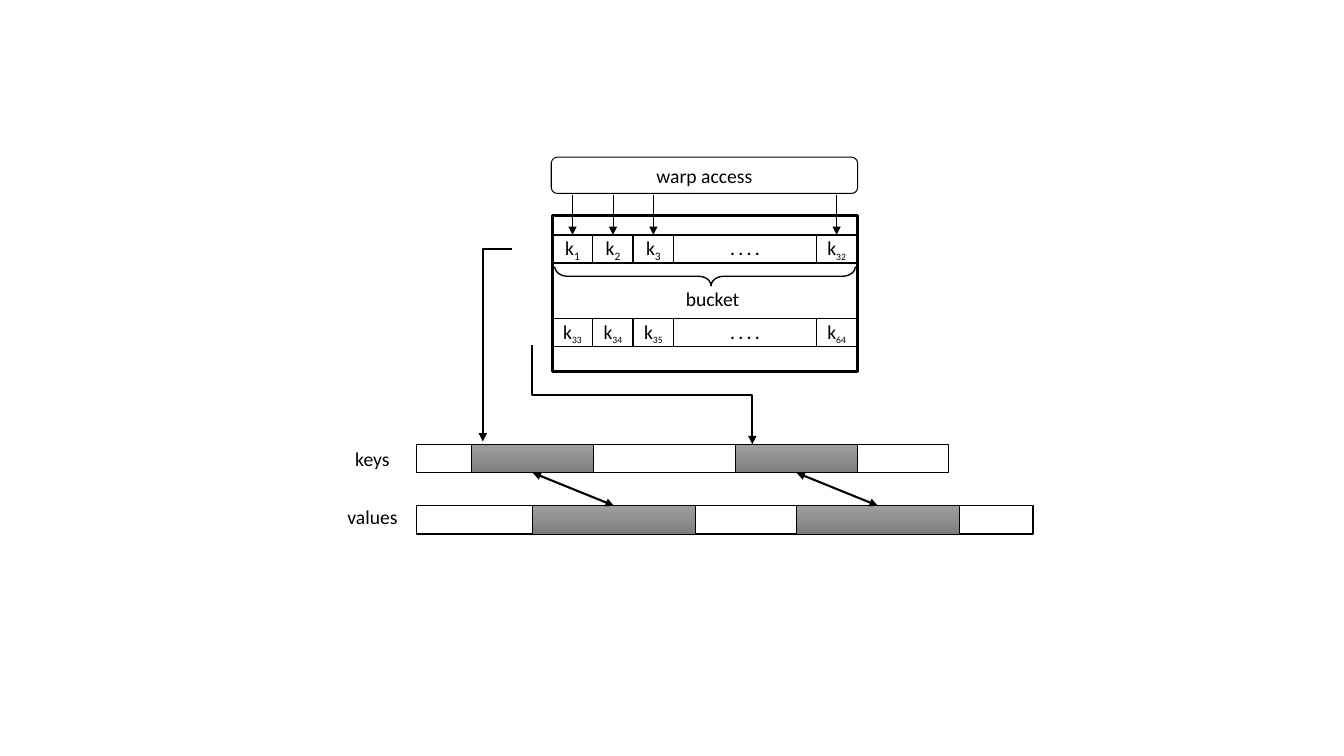
from copy import deepcopy

from lxml import etree
from pptx import Presentation
from pptx.dml import color
from pptx.enum import shapes, text
from pptx.oxml import ns
from pptx.util import Pt

FONT = "Calibri"
BLACK = "000000"
WHITE = "FFFFFF"
GREYS = ["9D9D9D", "909090", "7C7C7C"]
RECT = shapes.MSO_SHAPE.RECTANGLE
ELBOW = shapes.MSO_CONNECTOR.ELBOW
STRAIGHT = shapes.MSO_CONNECTOR.STRAIGHT

CELL_LEFT, CELL_W, ROW_H = 394.5, 28.9, 20.2
LAST_LEFT = 583.2
KEYS_TOP, VALUES_TOP = 317.5, 361.2
KEY_W, VALUE_W = 87, 116


def rgb(value):
    return color.RGBColor.from_string(value)


def add_box(slide, left, top, width, height, line=1, kind=RECT, fill=None):
    sp = slide.shapes.add_shape(kind, Pt(left), Pt(top), Pt(width), Pt(height))
    sp.shadow.inherit = False
    if fill:
        sp.fill.solid()
        sp.fill.fore_color.rgb = rgb(fill)
    else:
        sp.fill.background()
    sp.line.color.rgb = rgb(BLACK)
    sp.line.width = Pt(line)
    return sp


def write(sp, words, sub="", size=14, sub_size=14, bold=None):
    tf = sp.text_frame
    tf.margin_left = tf.margin_right = tf.margin_top = tf.margin_bottom = 0
    tf.word_wrap = False
    tf.vertical_anchor = text.MSO_ANCHOR.MIDDLE
    p = tf.paragraphs[0]
    p.alignment = text.PP_ALIGN.CENTER
    p.font.name = FONT
    p.font.color.rgb = rgb(BLACK)
    p.font.bold = bold
    r = p.add_run()
    r.text = words
    r.font.size = Pt(size)
    if sub:
        r = p.add_run()
        r.text = sub
        r.font.size = Pt(sub_size)
        r.font._element.set("baseline", "-25000")


def add_label(slide, left, top, width, words):
    sp = slide.shapes.add_textbox(Pt(left), Pt(top), Pt(width), Pt(24.2))
    write(sp, words)


def add_bucket_row(slide, top, subs, sub_size):
    lefts = [CELL_LEFT + i * CELL_W for i in range(3)] + [LAST_LEFT]
    cells = []
    for left, sub in zip(lefts, subs):
        cell = add_box(slide, left, top, CELL_W, ROW_H, fill=WHITE)
        write(cell, "k", sub, sub_size=12 if len(sub) > 1 else sub_size)
        cells.append(cell)
    gap_left = CELL_LEFT + 3 * CELL_W
    gap = add_box(slide, gap_left, top, LAST_LEFT - gap_left, ROW_H, fill=WHITE)
    write(gap, ". . . .", size=12, bold=True)
    return cells


def add_block(slide, left, top, width):
    sp = add_box(slide, left, top, width, ROW_H, line=0.5)
    sp.fill.gradient()
    sp.fill.gradient_angle = 270
    first = sp._element.spPr.find(".//" + ns.qn("a:gs"))
    first.addnext(deepcopy(first))
    for i, stop in enumerate(sp.fill.gradient_stops):
        stop.position = i / 2
        stop.color.rgb = rgb(GREYS[i])
    return sp


def add_arrow(slide, start, end, width, kind=STRAIGHT, double=False):
    points = [Pt(v) for v in (*start, *end)]
    line = slide.shapes.add_connector(kind, *points)
    line.line.color.rgb = rgb(BLACK)
    line.line.width = Pt(width)
    ln = line.line._get_or_add_ln()
    for tag in ["a:headEnd", "a:tailEnd"] if double else ["a:tailEnd"]:
        etree.SubElement(ln, ns.qn(tag), type="triangle")
    etree.SubElement(line._element.spPr, ns.qn("a:effectLst"))
    return line


def add_bucket(slide):
    cells = add_bucket_row(slide, 167.8, ["1", "2", "3", "32"], 14)
    add_bucket_row(slide, 227.5, ["33", "34", "35", "64"], 12)
    add_box(slide, CELL_LEFT, 154.1, 218, 111.6, line=2.25)
    add_label(slide, 475.9, 200.9, 66.2, "bucket")
    brace = add_box(slide, 496.8, 90, 13.7, 214.6,
                    kind=shapes.MSO_SHAPE.LEFT_BRACE)
    brace.rotation = 270
    brace.adjustments[0] = 0.66
    brace.adjustments[1] = 0.52

    warp = add_box(slide, 393.8, 112.3, 218.9, 25.9, line=0.75,
                   kind=shapes.MSO_SHAPE.ROUNDED_RECTANGLE)
    write(warp, "warp access")
    for cell in cells:
        x = cell.left.pt + CELL_W / 2
        arrow = add_arrow(slide, (x, 139), (x, 167.8), 0.5)
        arrow.end_connect(cell, 0)


def add_arrays(slide):
    add_label(slide, 246.2, 315.6, 39.6, "keys")
    add_label(slide, 240.5, 357.1, 51.1, "values")
    add_box(slide, 297.4, KEYS_TOP, 380.2, ROW_H)
    add_box(slide, 297.4, VALUES_TOP, 440.6, ROW_H)
    for left in (337, 525.5):
        middle = left + KEY_W / 2
        key = add_block(slide, left, KEYS_TOP, KEY_W)
        value = add_block(slide, middle, VALUES_TOP, VALUE_W)
        link = add_arrow(slide, (middle, KEYS_TOP + ROW_H),
                         (middle + VALUE_W / 2, VALUES_TOP), 1.5, double=True)
        link.begin_connect(key, 2)
        link.end_connect(value, 0)


def add_bucket_pointers(slide):
    first = add_arrow(slide, (365.8, 177.8), (344.9, 315.4), 1.5, ELBOW)
    first._element.spPr.find(ns.qn("a:prstGeom")).set("prst", "bentConnector2")
    second = add_arrow(slide, (493.9, 203.1), (423.1, 360.8), 1.5, ELBOW)
    second._element.spPr.find(ns.qn("a:xfrm")).set("rot", "16200000")


def main():
    prs = Presentation()
    prs.slide_width, prs.slide_height = Pt(960), Pt(540)
    slide = prs.slides.add_slide(prs.slide_layouts[6])
    add_bucket(slide)
    add_arrays(slide)
    add_bucket_pointers(slide)
    prs.save("out.pptx")


if __name__ == "__main__":
    main()
